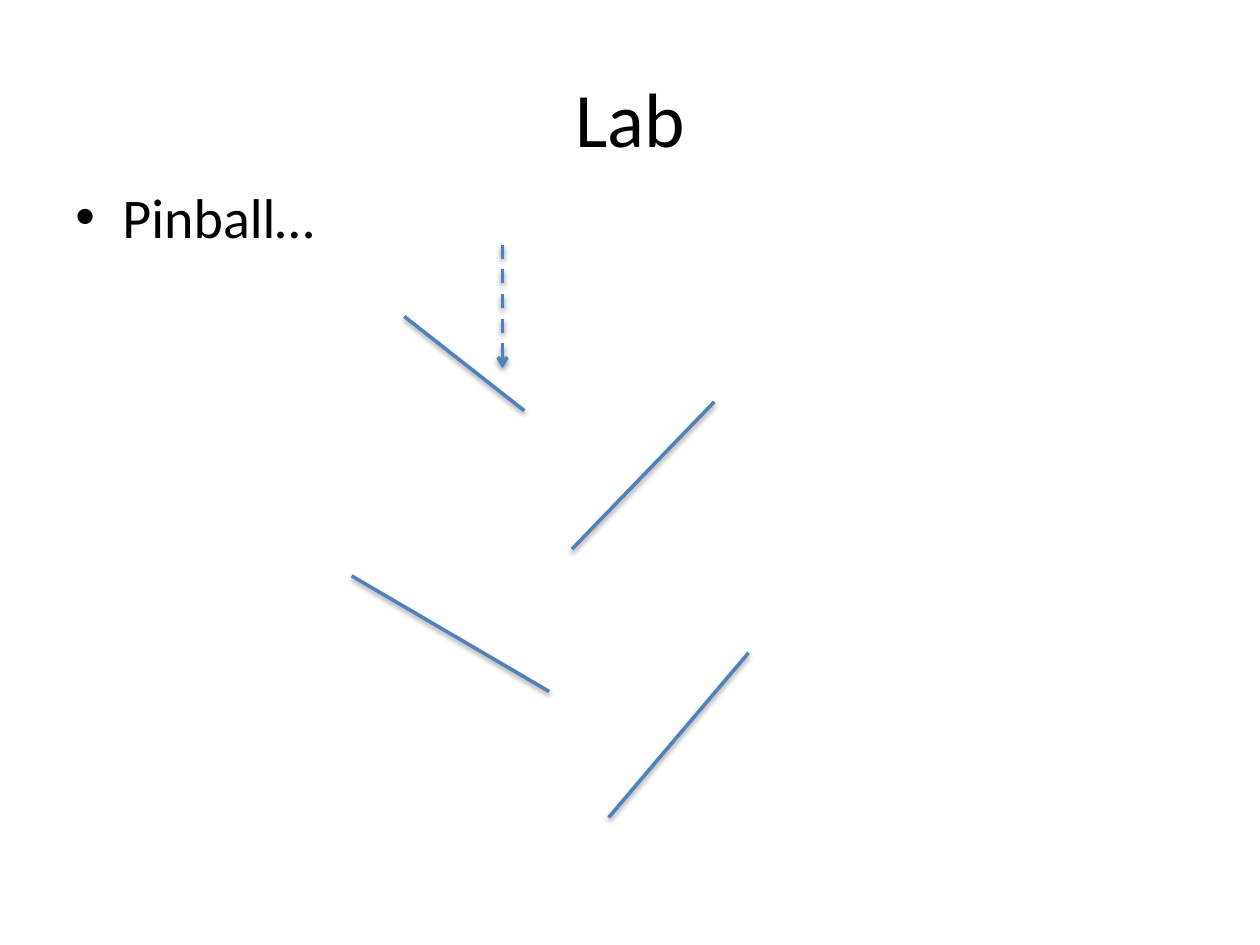
from pptx import Presentation
from pptx.dml.color import RGBColor
from pptx.enum.dml import MSO_LINE_DASH_STYLE as Dash
from pptx.enum.shapes import MSO_CONNECTOR as Connector
from pptx.enum.text import MSO_VERTICAL_ANCHOR as Anchor, PP_PARAGRAPH_ALIGNMENT as Align
from pptx.oxml import parse_xml
from pptx.oxml.ns import nsdecls
from pptx.util import Cm, Pt

COLORS = {"text": "000000", "line": "4F81BD", "shadow": "000000", "background": "FFFFFF"}
FONT = "Calibri"
BUMPERS = [
    ((8.15, 6.38), (10.57, 8.28)),
    ((11.53, 11.07), (14.4, 8.1)),
    ((7.09, 11.61), (11.07, 13.94)),
    ((12.27, 16.48), (15.09, 13.16)),
]
BALL_DROP = ((10.13, 4.93), (10.13, 7.42))


def rgb(name):
    return RGBColor.from_string(COLORS[name])


def add_text(page, text, top, height, size, anchor=Anchor.TOP, align=Align.LEFT, bullet=False):
    box = page.shapes.add_textbox(Cm(1.27), Cm(top), Cm(22.86), Cm(height))
    frame = box.text_frame
    frame.word_wrap = True
    frame.vertical_anchor = anchor
    para = frame.paragraphs[0]
    para.alignment = align
    if bullet:
        add_bullet(para)
    span = para.add_run()
    span.text = text
    span.font.name = FONT
    span.font.size = Pt(size)
    span.font.color.rgb = rgb("text")


def add_bullet(para):
    props = para._p.get_or_add_pPr()
    props.set("marL", str(Cm(0.95)))
    props.set("indent", str(-Cm(0.95)))
    props.append(parse_xml(f'<a:buFont {nsdecls("a")} typeface="Arial"/>'))
    props.append(parse_xml(f'<a:buChar {nsdecls("a")} char="•"/>'))


def add_line(page, start, end):
    line = page.shapes.add_connector(Connector.STRAIGHT, *map(Cm, start + end))
    line.line.color.rgb = rgb("line")
    line.line.width = Pt(2)
    line._element.spPr.append(parse_xml(
        f'<a:effectLst {nsdecls("a")}>'
        f'<a:outerShdw blurRad="{Pt(3.1)}" dist="{Pt(1.6)}" dir="5400000" rotWithShape="0">'
        f'<a:srgbClr val="{COLORS["shadow"]}"><a:alpha val="38000"/></a:srgbClr>'
        '</a:outerShdw></a:effectLst>'))
    return line


def add_dashed_arrow(page, start, end):
    arrow = add_line(page, start, end)
    arrow.line.dash_style = Dash.DASH
    arrow.line._get_or_add_ln().append(
        parse_xml(f'<a:tailEnd {nsdecls("a")} type="arrow"/>'))


def main():
    deck = Presentation()
    deck.slide_width, deck.slide_height = Cm(25.4), Cm(19.05)
    page = deck.slides.add_slide(deck.slide_layouts[6])
    page.background.fill.solid()
    page.background.fill.fore_color.rgb = rgb("background")
    add_text(page, "Lab", 0.76, 3.18, 44, anchor=Anchor.MIDDLE, align=Align.CENTER)
    add_text(page, "Pinball…", 3.56, 12.57, 32, bullet=True)
    for start, end in BUMPERS:
        add_line(page, start, end)
    add_dashed_arrow(page, *BALL_DROP)
    deck.save("out.pptx")


if __name__ == "__main__":
    main()
